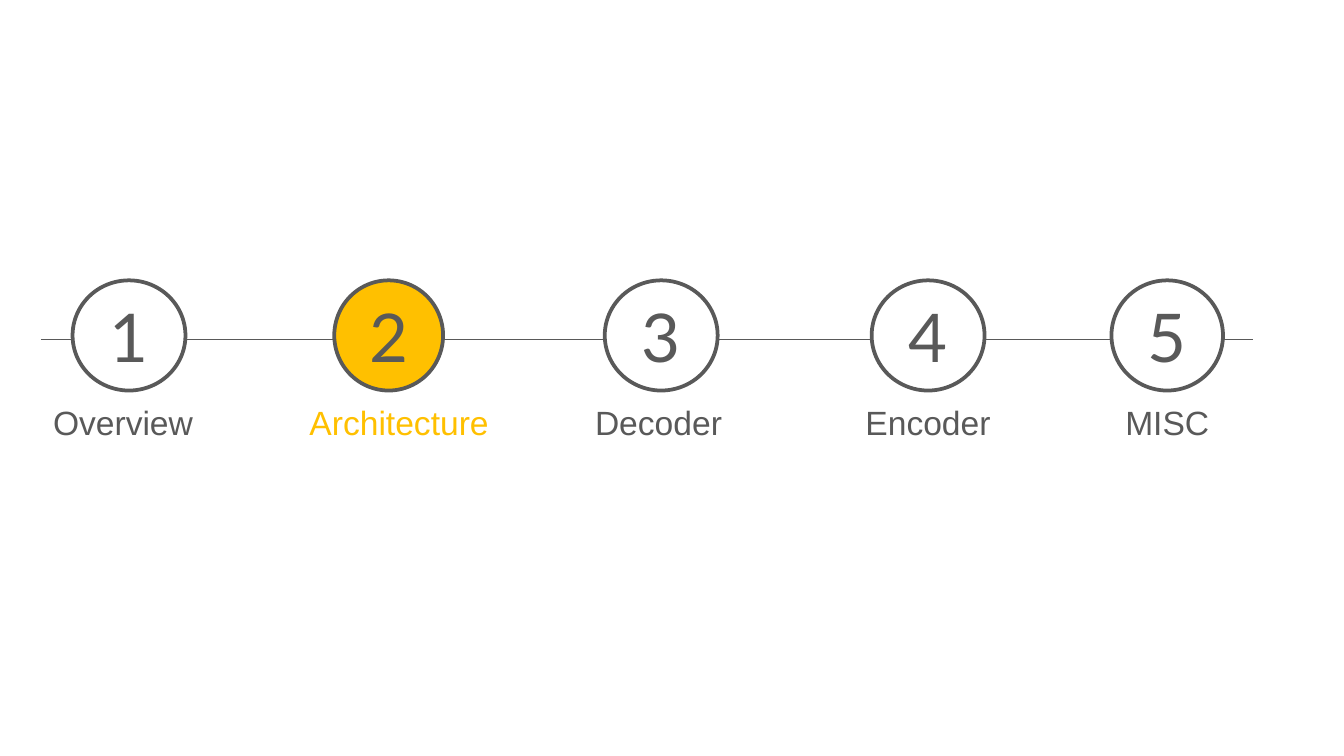
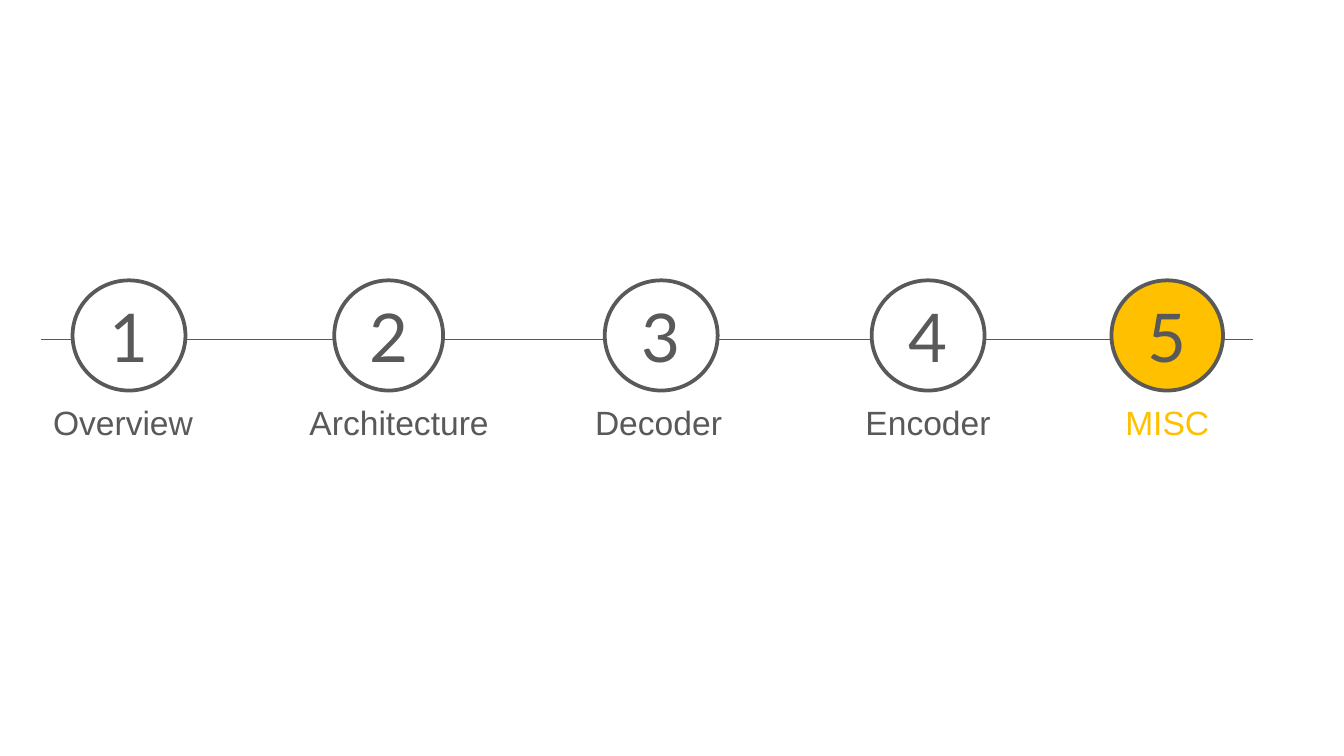
from dataclasses import dataclass

from lxml.etree import SubElement
from pptx import Presentation
from pptx.dml.color import RGBColor
from pptx.enum.dml import MSO_LINE
from pptx.enum.shapes import MSO_CONNECTOR, MSO_SHAPE
from pptx.enum.text import MSO_ANCHOR, PP_ALIGN
from pptx.oxml.ns import qn
from pptx.slide import Slide
from pptx.text.text import TextFrame
from pptx.util import Emu, Inches, Pt


@dataclass(frozen=True)
class Theme:
    ink: RGBColor = RGBColor(0x59, 0x59, 0x59)
    gold: RGBColor = RGBColor(0xFF, 0xC0, 0x00)
    paper: RGBColor = RGBColor(0xFF, 0xFF, 0xFF)
    label: str = "Arial"
    digit: str = "Lato"
    small: float = 18
    large: float = 36
    ring: float = 2
    hair: float = 0.1


@dataclass(frozen=True)
class Step:
    """A stop on the timeline, measured in grid columns."""
    name: str
    left: float   # circle
    wide: float
    start: float  # label
    span: float
    tall: float


THEME = Theme()
WIDTH = Inches(10)
HEIGHT = Emu(WIDTH * 9 // 16)
CELL = WIDTH / 100  # square grid, 100 columns wide

# Grid rows shared by all steps
TOP, TALL = 20.86, 8.2
BASE = 29.9
AXIS, FROM, TO = 25.23, 3.05, 93.15

STEPS = [
    Step("Overview", 5.4, 8.4, 1.7, 14.9, 3.5),
    Step("Architecture", 24.87, 8.1, 21.7, 16, 4.5),
    Step("Decoder", 45, 8.4, 43.2, 11.6, 4.5),
    Step("Encoder", 64.86, 8.4, 61.8, 14.5, 3.5),
    Step("MISC", 82.7, 8.3, 79.6, 14.5, 3.5),
]
ACTIVE = ["Architecture", "MISC"]  # one slide each


def grid(*cells: float) -> list[Emu]:
    return [Emu(round(n * CELL)) for n in cells]


def write(frame: TextFrame, text: str, face: str, size: float,
          color: RGBColor) -> None:
    para = frame.paragraphs[0]
    para.text = text
    para.alignment = PP_ALIGN.CENTER
    para.font.name = face
    para.font.size = Pt(size)
    para.font.color.rgb = color


def axis(slide: Slide) -> None:
    rule = slide.shapes.add_connector(
        MSO_CONNECTOR.STRAIGHT, *grid(FROM, AXIS, TO, AXIS))
    rule.line.color.rgb = THEME.ink
    rule.line.width = Pt(THEME.hair)
    rule.line.dash_style = MSO_LINE.SQUARE_DOT
    SubElement(rule._element.spPr, qn("a:effectLst"))


def circle(slide: Slide, step: Step, num: int, active: bool) -> None:
    disc = slide.shapes.add_shape(
        MSO_SHAPE.OVAL, *grid(step.left, TOP, step.wide, TALL))
    disc.shadow.inherit = False
    disc.fill.solid()
    disc.fill.fore_color.rgb = THEME.gold if active else THEME.paper
    disc.line.color.rgb = THEME.ink
    disc.line.width = Pt(THEME.ring)
    disc.text_frame.vertical_anchor = MSO_ANCHOR.MIDDLE
    write(disc.text_frame, str(num), THEME.digit, THEME.large, THEME.ink)


def label(slide: Slide, step: Step, active: bool) -> None:
    box = slide.shapes.add_textbox(
        *grid(step.start, BASE, step.span, step.tall))
    frame = box.text_frame
    frame.word_wrap = True
    frame.margin_left = frame.margin_right = 0
    write(frame, step.name, THEME.label, THEME.small,
          THEME.gold if active else THEME.ink)
    frame.paragraphs[0].line_spacing = 0.85


def main() -> None:
    deck = Presentation()
    deck.slide_width, deck.slide_height = WIDTH, HEIGHT
    for focus in ACTIVE:
        slide = deck.slides.add_slide(deck.slide_layouts[6])
        axis(slide)
        for num, step in enumerate(STEPS, 1):
            active = step.name == focus
            circle(slide, step, num, active)
            label(slide, step, active)
    deck.save("out.pptx")


if __name__ == "__main__":
    main()
